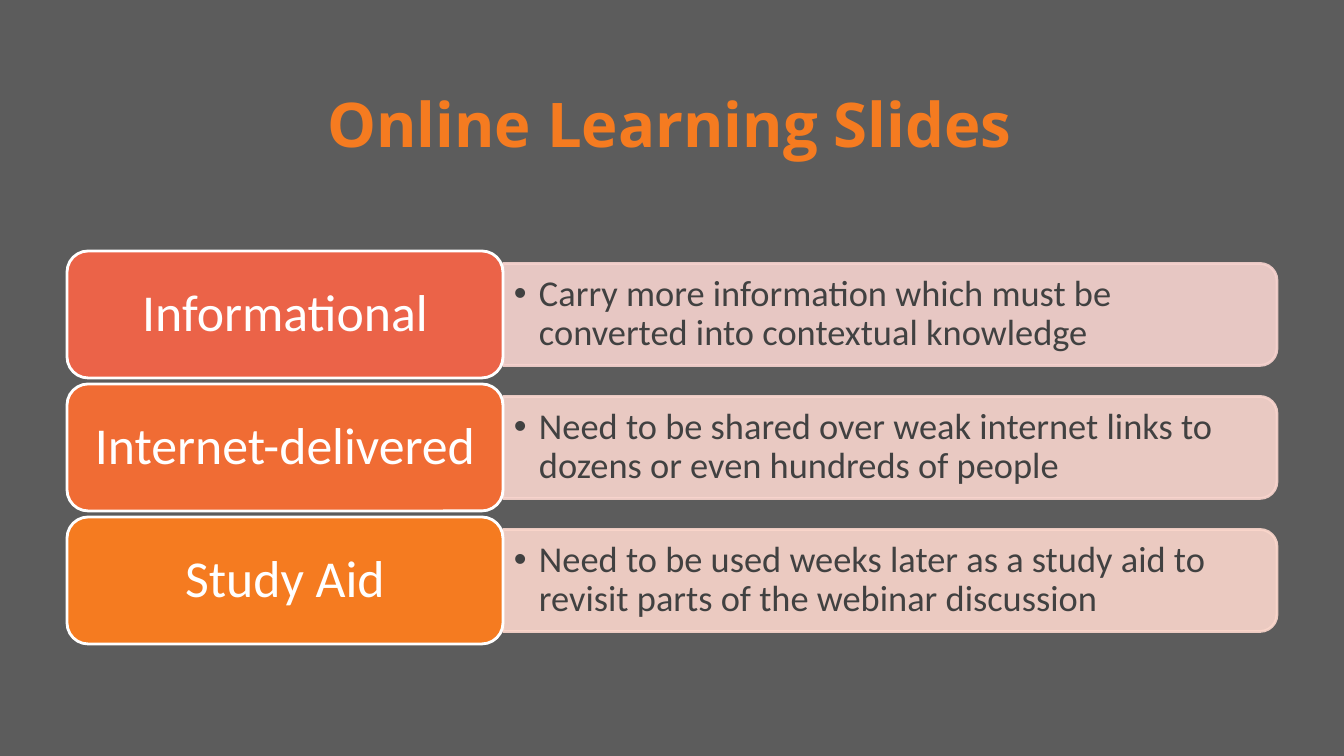
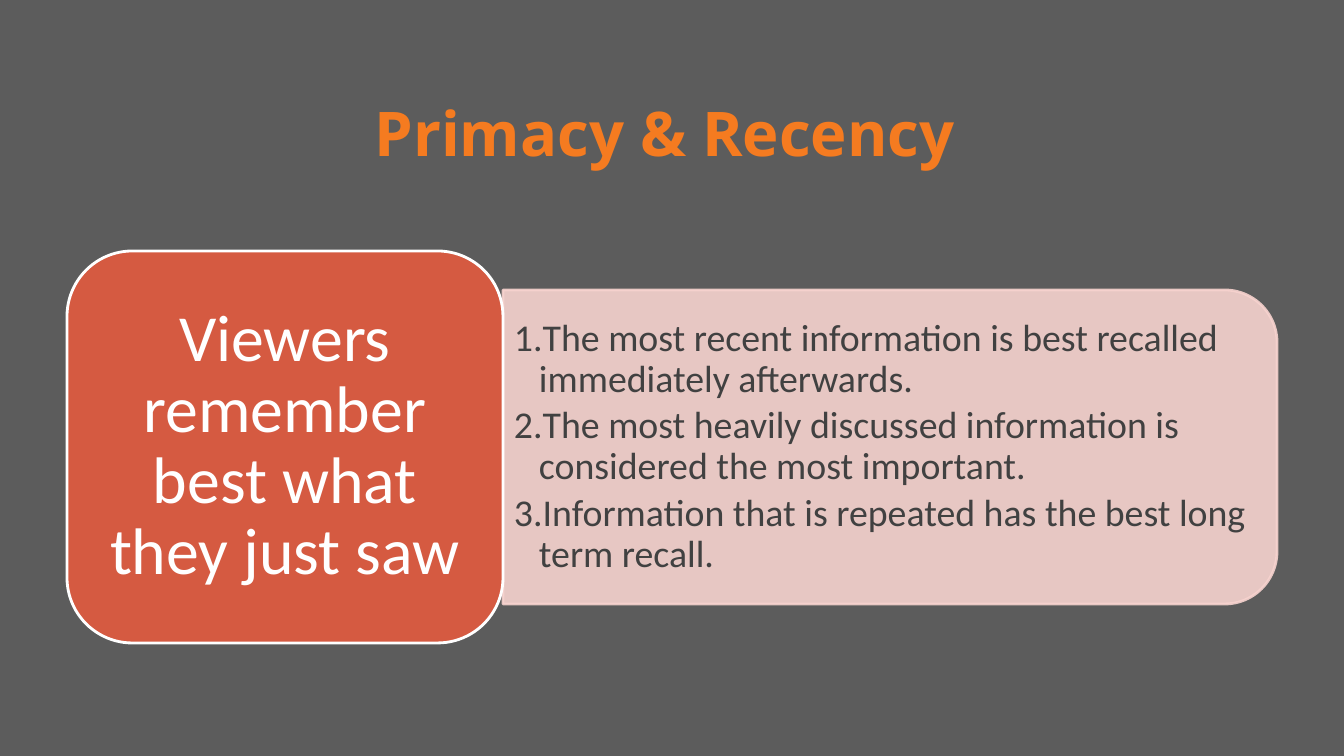
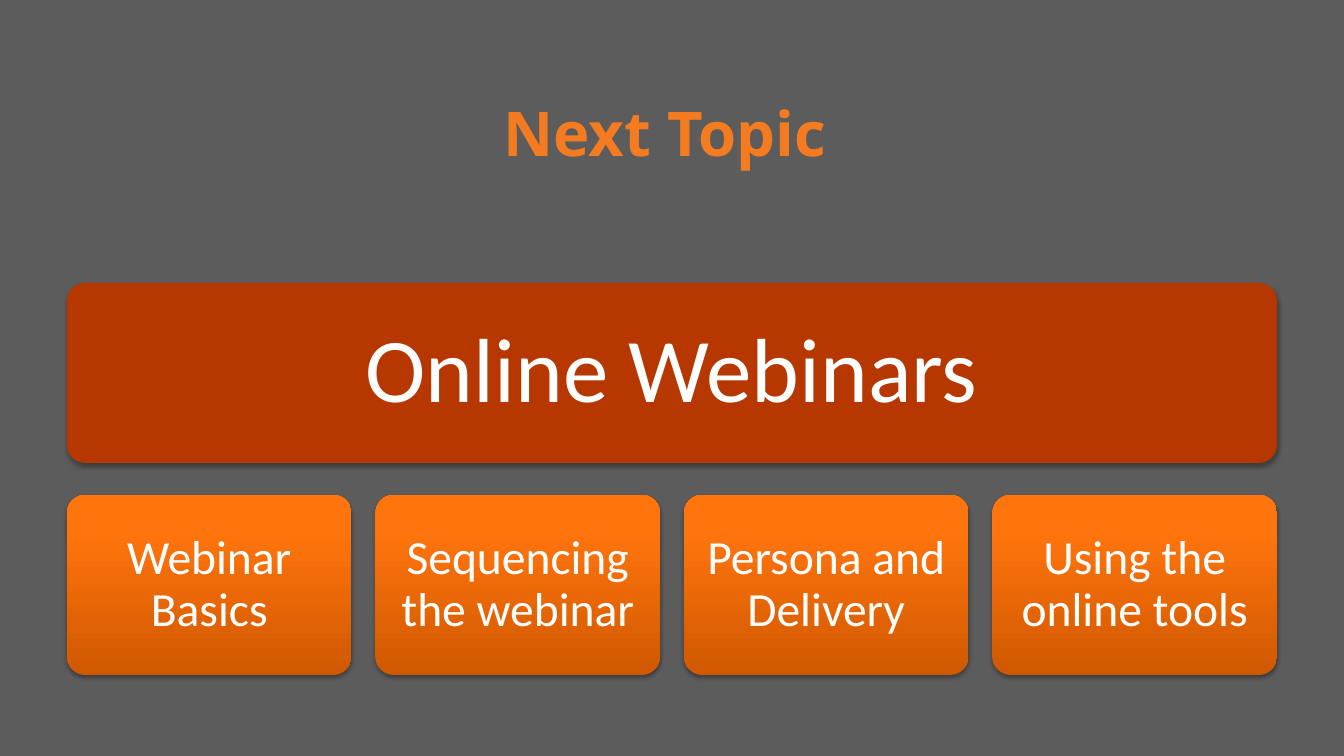
import dataclasses
import typing

import lxml.etree
import pptx
import pptx.dml.color
import pptx.enum.shapes
import pptx.enum.text
import pptx.oxml.ns
import pptx.util

SCALE = 914400 / 100.8
LEFT, WIDTH = 67, 1210
SHAPES = pptx.enum.shapes.MSO_SHAPE
ALIGN = pptx.enum.text.PP_ALIGN
ANCHOR = pptx.enum.text.MSO_ANCHOR


@dataclasses.dataclass(frozen=True)
class Theme:
    back: str = "5C5C5C"
    accent: str = "F57B20"
    ink: str = "414141"
    white: str = "FFFFFF"
    banner: str = "B63800"
    fade: tuple[tuple[float, str], ...] = ((0, "CF5800"), (0.8, "FF750D"))
    head_font: str = "Open Sans"
    text_font: str = "Calibri"
    head_size: int = 44
    banner_size: int = 65
    card_size: int = 34
    edge: int = 2


THEME = Theme()


class Box(typing.NamedTuple):
    x: float
    y: float
    w: float
    h: float


class Row(typing.NamedTuple):
    label: str
    points: tuple[str, ...]
    fill: str
    tint: str


@dataclasses.dataclass(frozen=True)
class Stack:
    rows: tuple[Row, ...]
    height: int
    pitch: int
    label_size: int
    point_size: int
    inset: tuple[int, int]
    bullet: tuple[str, str, str]


DOT = ("buChar", "char", "•")
NUMBER = ("buAutoNum", "type", "arabicPeriod")

LEARNING = Stack(
    rows=(
        Row("Informational",
            ("Carry more information which must be converted into contextual knowledge",),
            "EB6348", "F7D3CF"),
        Row("Internet-delivered",
            ("Need to be shared over weak internet links to dozens or even hundreds of people",),
            "F06C34", "F9D5CE"),
        Row("Study Aid",
            ("Need to be used weeks later as a study aid to revisit parts of the webinar discussion",),
            "F57B20", "FBD7CC"),
    ),
    height=127, pitch=133, label_size=37, point_size=26, inset=(15, 8), bullet=DOT,
)
RECALL = Stack(
    rows=(
        Row("Viewers remember best what they just saw",
            ("The most recent information is best recalled immediately afterwards.",
             "The most heavily discussed information is considered the most important.",
             "Information that is repeated has the best long term recall."),
            "D55A41", "F7D3CF"),
    ),
    height=392, pitch=392, label_size=47, point_size=27, inset=(20, 10), bullet=NUMBER,
)
TOPICS = ("Webinar Basics", "Sequencing the webinar", "Persona and Delivery", "Using the online tools")


def px(value: float) -> int:
    return round(value * SCALE)


def rgb(code: str) -> pptx.dml.color.RGBColor:
    return pptx.dml.color.RGBColor.from_string(code)


def node(parent, tag: str, **attrs: str):
    return lxml.etree.SubElement(parent, pptx.oxml.ns.qn("a:" + tag), attrs)


def place(shape, box: Box) -> None:
    shape.left, shape.top, shape.width, shape.height = map(px, box)


def style(para, font: str, size: int, color: str, bold: bool = False) -> None:
    para.font.name = font
    para.font.size = pptx.util.Pt(size)
    para.font.bold = bold
    para.font.color.rgb = rgb(color)


def set_frame(frame, across: int, down: int) -> None:
    frame.word_wrap = True
    frame.auto_size = pptx.enum.text.MSO_AUTO_SIZE.NONE
    frame.vertical_anchor = ANCHOR.MIDDLE
    frame.margin_left = frame.margin_right = px(across)
    frame.margin_top = frame.margin_bottom = px(down)


def add_slide(deck, layout: int, title: str, x: int = 60, y: int = 69):
    slide = deck.slides.add_slide(deck.slide_layouts[layout])
    head = slide.shapes.title
    place(head, Box(x, y, WIDTH, 126))
    head.text_frame.text = title
    set_frame(head.text_frame, 10, 5)
    para = head.text_frame.paragraphs[0]
    para.alignment = ALIGN.CENTER
    style(para, THEME.head_font, THEME.head_size, THEME.accent, True)
    props = para._p.get_or_add_pPr().get_or_add_defRPr()
    line = node(props, "ln", w=str(pptx.util.Pt(0.75)))
    node(node(line, "solidFill"), "srgbClr", val=THEME.ink)
    props.insert(0, line)
    return slide


def add_label(slide, box: Box, text: str, size: int, inset: tuple[int, int]):
    shape = slide.shapes.add_shape(SHAPES.ROUNDED_RECTANGLE, *map(px, box))
    shape.shadow.inherit = False
    set_frame(shape.text_frame, *inset)
    shape.text_frame.text = text
    para = shape.text_frame.paragraphs[0]
    para.alignment = ALIGN.CENTER
    para.line_spacing = 0.9
    style(para, THEME.text_font, size, THEME.white)
    return shape


def add_panel(slide, box: Box, tint: str) -> None:
    turned = Box(box.x + (box.w - box.h) / 2, box.y + (box.h - box.w) / 2, box.h, box.w)
    panel = slide.shapes.add_shape(SHAPES.ROUND_2_SAME_RECTANGLE, *map(px, turned))
    panel.rotation = 90
    panel.shadow.inherit = False
    panel.line.width = pptx.util.Pt(THEME.edge)
    for fill in (panel.fill, panel.line.fill):
        fill.solid()
        fill.fore_color.rgb = rgb(tint)
    for color in panel.element.spPr.iter(pptx.oxml.ns.qn("a:srgbClr")):
        node(color, "alpha", val="90000")


def fill_list(body, box: Box, points: tuple[str, ...], size: int, bullet: tuple[str, str, str]) -> None:
    place(body, box)
    set_frame(body.text_frame, 11, 5)
    body.text_frame.text = "\n".join(points)
    tag, key, value = bullet
    for para in body.text_frame.paragraphs:
        para.alignment = ALIGN.LEFT
        para.line_spacing = 0.9
        para.space_before = pptx.util.Pt(0)
        para.space_after = pptx.util.Pt(4)
        props = para._p.get_or_add_pPr()
        props.set("marL", str(px(25)))
        props.set("indent", str(px(-25)))
        node(props, tag, **{key: value})
        style(para, THEME.text_font, size, THEME.ink)


def add_stack(slide, stack: Stack) -> None:
    bodies = [item for item in slide.placeholders if item.placeholder_format.idx > 0]
    thick = round(stack.height * 0.8)
    trim = round(thick * 0.05)
    for index, (row, body) in enumerate(zip(stack.rows, bodies)):
        tile = Box(LEFT, 251 + index * stack.pitch, 436, stack.height)
        panel = Box(tile.x + tile.w, tile.y + (tile.h - thick) / 2, WIDTH - tile.w, thick)
        add_panel(slide, panel, row.tint)
        area = Box(panel.x, panel.y + trim, panel.w - trim, thick - 2 * trim)
        fill_list(body, area, row.points, stack.point_size, stack.bullet)
        slide.shapes.element.append(body.element)
        label = add_label(slide, tile, row.label, stack.label_size, stack.inset)
        label.fill.solid()
        label.fill.fore_color.rgb = rgb(row.fill)
        label.line.color.rgb = rgb(THEME.white)
        label.line.width = pptx.util.Pt(THEME.edge)
    for spare in bodies[len(stack.rows):]:
        spare.element.getparent().remove(spare.element)


def add_card(slide, box: Box, text: str, size: int, inset: int):
    card = add_label(slide, box, text, size, (inset, inset))
    card.adjustments[0] = 0.1
    card.line.fill.background()
    effects = card.element.spPr.find(pptx.oxml.ns.qn("a:effectLst"))
    shade = node(effects, "outerShdw", blurRad=str(pptx.util.Pt(3.1)),
                 dist=str(pptx.util.Pt(1.8)), dir="5400000", rotWithShape="0")
    node(node(shade, "srgbClr", val="000000"), "alpha", val="35000")
    return card


def add_topics(slide) -> None:
    banner = add_card(slide, Box(LEFT, 283, WIDTH, 180), "Online Webinars", THEME.banner_size, 27)
    banner.fill.solid()
    banner.fill.fore_color.rgb = rgb(THEME.banner)
    gap = 24
    wide = (WIDTH - gap * (len(TOPICS) - 1)) / len(TOPICS)
    for index, topic in enumerate(TOPICS):
        box = Box(LEFT + index * (wide + gap), 495, wide, 180)
        card = add_card(slide, box, topic, THEME.card_size, 14)
        card.fill.gradient()
        card.fill.gradient_angle = 90
        for stop, (point, color) in zip(card.fill.gradient_stops, THEME.fade):
            stop.position = point
            stop.color.rgb = rgb(color)


def main() -> None:
    deck = pptx.Presentation()
    deck.slide_width, deck.slide_height = px(1344), px(756)
    back = deck.slide_master.background.fill
    back.solid()
    back.fore_color.rgb = rgb(THEME.back)
    add_stack(add_slide(deck, 4, "Online Learning Slides", 65, 60), LEARNING)
    add_stack(add_slide(deck, 1, "Primacy & Recency"), RECALL)
    add_topics(add_slide(deck, 5, "Next Topic"))
    deck.save("out.pptx")


if __name__ == "__main__":
    main()
